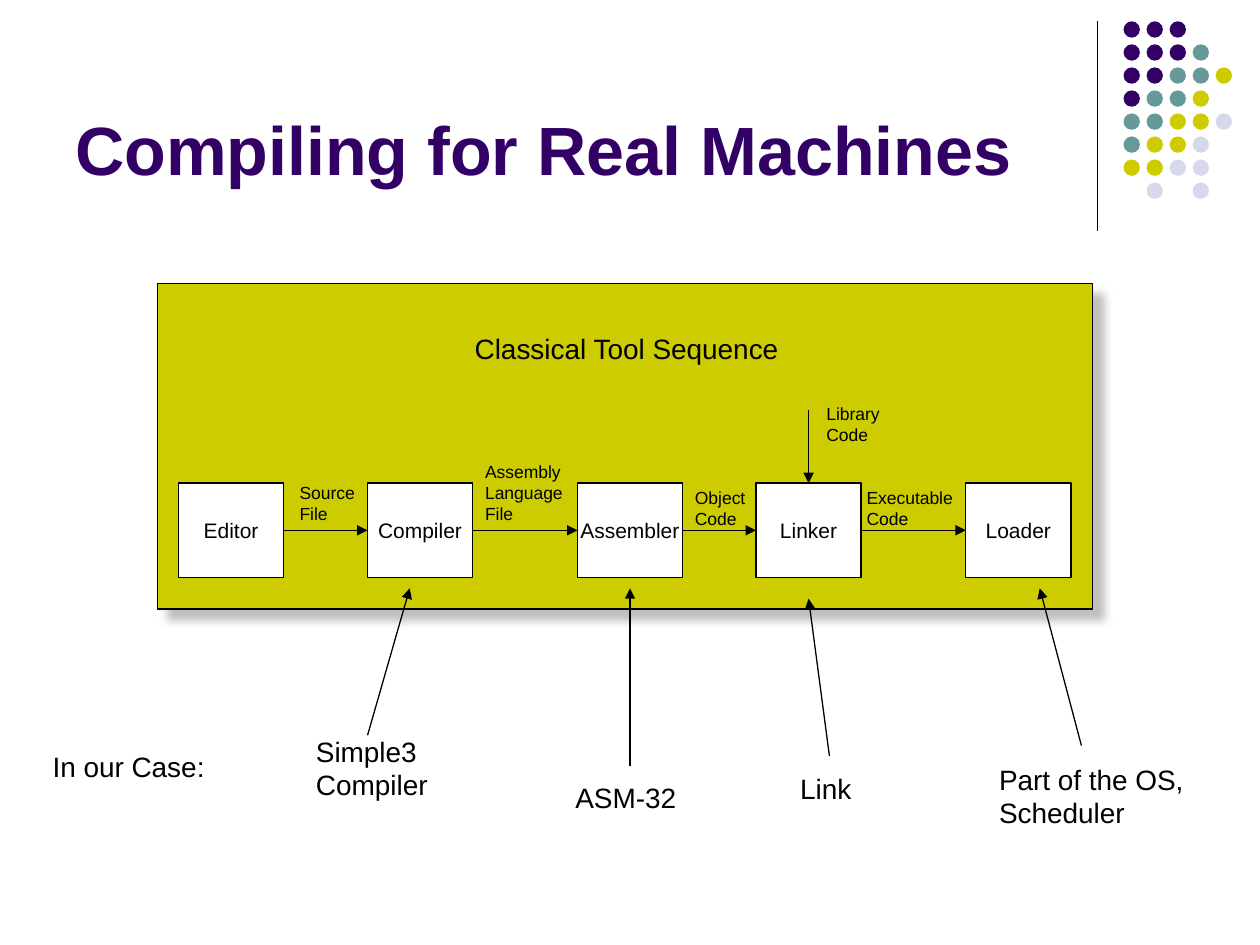
from itertools import pairwise
from lxml.etree import SubElement
from pptx import Presentation
from pptx.dml.color import RGBColor
from pptx.enum.shapes import MSO_CONNECTOR, MSO_SHAPE
from pptx.enum.text import MSO_ANCHOR, MSO_AUTO_SIZE, PP_ALIGN
from pptx.oxml.ns import qn
from pptx.util import Cm, Pt

BLACK = RGBColor(0x00, 0x00, 0x00)
WHITE = RGBColor(0xFF, 0xFF, 0xFF)
PURPLE = RGBColor(0x33, 0x00, 0x66)
TEAL = RGBColor(0x66, 0x99, 0x99)
OLIVE = RGBColor(0xCC, 0xCC, 0x00)
LILAC = RGBColor(0xD8, 0xD8, 0xEC)

# Content; lengths in cm, "|" breaks a line inside a paragraph
TITLE = "Compiling for Real Machines"
DOTS = ["PPP", "PPPT", "PPTTO", "PTTO", "TTOOL", "TOOL", "OOLL", " L L"]
INKS = {"P": PURPLE, "T": TEAL, "O": OLIVE, "L": LILAC}
TOOLS = [("Editor", 3.6), ("Compiler", 7.41), ("Assembler", 11.64),
         ("Linker", 15.24), ("Loader", 19.47)]
FILES = [  # paragraphs, left, top, width, height
    (["Source|File"], 5.79, 9.6, 1.63, 1.09),
    (["Assembly", "Language", "File"], 9.53, 9.17, 2.08, 1.52),
    (["Object", "Code"], 13.76, 9.7, 1.52, 1.09),
    (["Library", "Code"], 16.41, 8.0, 1.6, 1.09),
    (["Executable", "Code"], 17.22, 9.7, 2.26, 1.09),
]
NOTES = [
    (["Classical Tool Sequence"], 9.32, 6.55, 6.73, 0.94),
    (["In our Case:"], 0.81, 14.99, 3.58, 0.94),
    (["Simple3|Compiler"], 6.12, 14.68, 2.77, 1.63),
    (["ASM-32"], 11.35, 15.62, 2.82, 0.94),
    (["Link"], 15.88, 15.42, 1.55, 0.94),
    (["Part of the OS,", "Scheduler"], 19.89, 15.24, 4.24, 1.63),
]
CASES = [  # arrow tip, then foot
    (8.26, 11.86, 7.41, 14.82),
    (12.7, 11.86, 12.7, 15.45),
    (16.3, 12.07, 16.72, 15.24),
    (20.96, 11.86, 21.8, 15.03),
]
TOP, WIDE, HIGH = 9.74, 2.12, 1.9
DOT, STEP = 0.33, 3.25 / 7

deck = Presentation()
deck.slide_width, deck.slide_height = Cm(25.4), Cm(19.05)
slide = deck.slides.add_slide(deck.slide_layouts[6])
shapes = slide.shapes


def write(frame, paras, size, color=BLACK, bold=False, align=PP_ALIGN.LEFT):
    for i, text in enumerate(paras):
        para = frame.paragraphs[0] if i == 0 else frame.add_paragraph()
        para.alignment = align
        for j, part in enumerate(text.split("|")):
            if j:
                para.add_line_break()
            run = para.add_run()
            run.text = part
            font = run.font
            font.name, font.size, font.bold = "Arial", Pt(size), bold
            font.color.rgb = color


def label(paras, x, y, w, h, size):
    frame = shapes.add_textbox(Cm(x), Cm(y), Cm(w), Cm(h)).text_frame
    frame.word_wrap = False
    frame.auto_size = MSO_AUTO_SIZE.SHAPE_TO_FIT_TEXT
    write(frame, paras, size)


def block(kind, x, y, w, h, fill, edge=True):
    shape = shapes.add_shape(kind, Cm(x), Cm(y), Cm(w), Cm(h))
    shape.shadow.inherit = False
    shape.fill.solid()
    shape.fill.fore_color.rgb = fill
    if edge:
        shape.line.color.rgb = BLACK
        shape.line.width = Pt(0.75)
    else:
        shape.line.fill.background()
    return shape


def line(x1, y1, x2, y2, end=None):
    link = shapes.add_connector(MSO_CONNECTOR.STRAIGHT,
                                Cm(x1), Cm(y1), Cm(x2), Cm(y2))
    link.line.color.rgb = BLACK
    link.line.width = Pt(0.75)
    if end:
        SubElement(link.line._get_or_add_ln(), qn(end), type="triangle")
    SubElement(link._element.spPr, qn("a:effectLst"))


# Corner rule and dots
line(22.12, 0.43, 22.12, 4.65)
for row, marks in enumerate(DOTS):
    for col, mark in enumerate(marks):
        if mark in INKS:
            block(MSO_SHAPE.OVAL, 22.65 + col * STEP, 0.43 + row * STEP,
                  DOT, DOT, INKS[mark], edge=False)

# Title
frame = shapes.add_textbox(Cm(1.27), Cm(0.33), Cm(20.95), Cm(3.6)).text_frame
frame.word_wrap = True
frame.vertical_anchor = MSO_ANCHOR.BOTTOM
write(frame, [TITLE], 39, PURPLE, bold=True)

# Panel with soft shadow
panel = block(MSO_SHAPE.RECTANGLE, 3.18, 5.72, 18.84, 6.56, OLIVE)
glow = SubElement(panel._element.spPr.find(qn("a:effectLst")),
                  qn("a:outerShdw"), blurRad=str(Pt(5)), dist=str(Pt(8.5)),
                  dir="2700000", algn="ctr", rotWithShape="0")
tint = SubElement(glow, qn("a:srgbClr"), val="808080")
SubElement(tint, qn("a:alpha"), val="50000")

# Tool boxes
for name, x in TOOLS:
    frame = block(MSO_SHAPE.RECTANGLE, x, TOP, WIDE, HIGH, WHITE).text_frame
    frame.word_wrap = False
    frame.vertical_anchor = MSO_ANCHOR.MIDDLE
    write(frame, [name], 12, align=PP_ALIGN.CENTER)

# Arrows between tools, and from the library into the linker
mid = TOP + HIGH / 2
for (_, a), (_, b) in pairwise(TOOLS):
    line(a + WIDE, mid, b, mid, "a:tailEnd")
center = dict(TOOLS)["Linker"] + WIDE / 2
line(center, 8.26, center, TOP, "a:tailEnd")

# Arrows up from our own tools
for case in CASES:
    line(*case, "a:headEnd")

# Labels
for size, group in ((10, FILES), (16, NOTES)):
    for item in group:
        label(*item, size)

deck.save("out.pptx")
